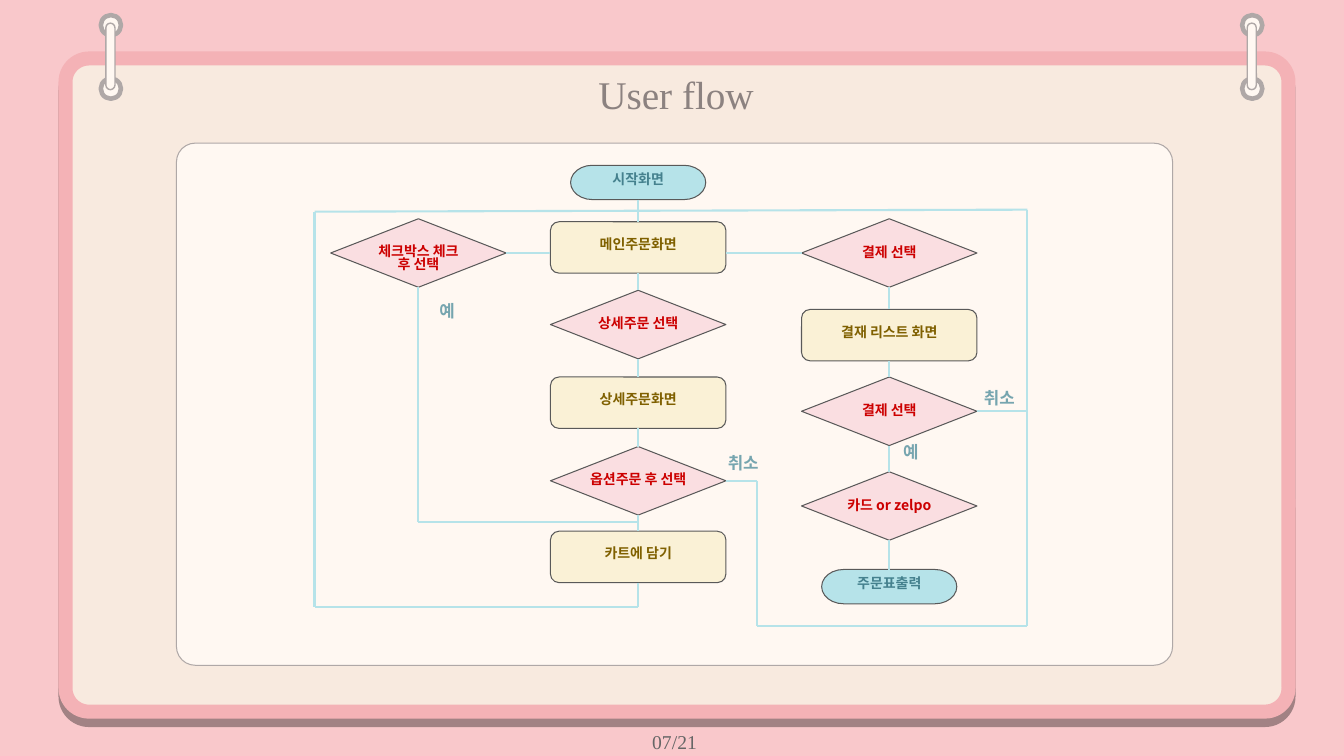
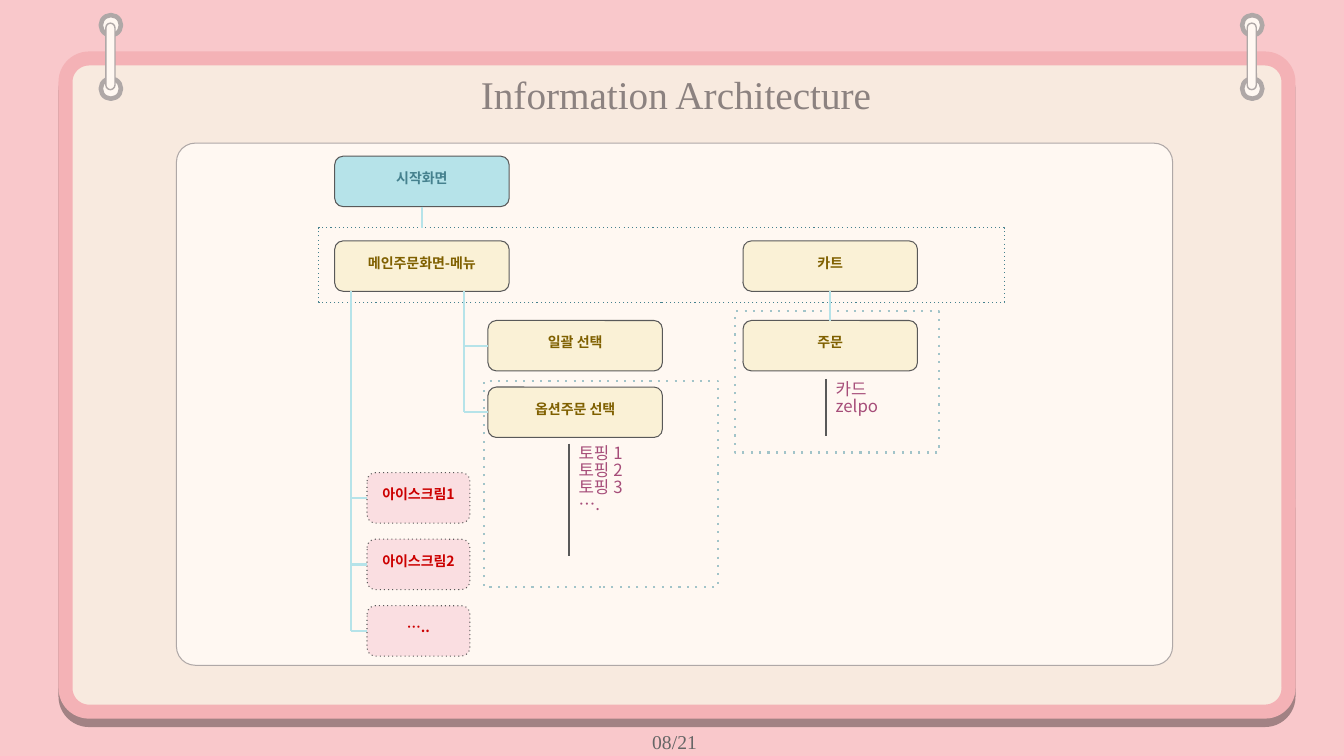
import pptx
import pptx.dml.color
import pptx.enum.shapes
import pptx.enum.text
import pptx.enum.dml
import pptx.oxml
import pptx.oxml.ns
import pptx.util

SHAPE = pptx.enum.shapes.MSO_SHAPE
ALIGN = pptx.enum.text.PP_ALIGN
ANCHOR = pptx.enum.text.MSO_ANCHOR
qn = pptx.oxml.ns.qn
NS = pptx.oxml.ns.nsdecls("a")

# Shared look: 100 px to the inch
EMU_PER_PX = 9144
SLIDE_W, SLIDE_H = 1333, 750
SERIF, SANS = "Times New Roman", "Noto Sans CJK KR"
PINK, ROSE, SAND, CREAM, RING = "F9C8CB", "F4B2B6", "F8EADF", "FFF8F2", "AFA8A7"
TITLE, PAGE, INK, FLOW = "8C8280", "666666", "595959", "B6E3E9"
LABEL, ITEM, FRAME, PALE_FRAME = "76A5AF", "A64D79", "45818E", "A2C4C9"
TOP, LEFT, BOTTOM, RIGHT = range(4)  # connection sites

# Node kinds: preset shape, fill, text colour
START = (SHAPE.FLOWCHART_TERMINATOR, FLOW, "45818E")
HOME = (SHAPE.ROUNDED_RECTANGLE, FLOW, "45818E")
SCREEN = (SHAPE.ROUNDED_RECTANGLE, "FAF1D6", "7F6000")
CHOICE = (SHAPE.DIAMOND, "FADEE1", "CC0000")
OPTION = (SHAPE.ROUNDED_RECTANGLE, "FADEE1", "CC0000")


def px(*values):
    return [pptx.util.Emu(round(v * EMU_PER_PX)) for v in values]


def rgb(color):
    return pptx.dml.color.RGBColor.from_string(color)


def write(tf, text, size=10, color=INK, font=SANS, bold=False, align=ALIGN.LEFT,
          anchor=ANCHOR.TOP, spacing=1.0, inset=(10, 10, 10, 10), wrap=True):
    tf.auto_size = pptx.enum.text.MSO_AUTO_SIZE.NONE
    tf.word_wrap, tf.vertical_anchor = wrap, anchor
    tf.margin_left, tf.margin_top, tf.margin_right, tf.margin_bottom = px(*inset)
    for i, line in enumerate(text.split("\n")):
        p = tf.paragraphs[0] if i == 0 else tf.add_paragraph()
        p.alignment, p.line_spacing = align, spacing
        r = p.add_run()
        r.text = line
        r.font.size, r.font.bold, r.font.name = pptx.util.Pt(size), bold, font
        r.font.color.rgb = rgb(color)
        east = pptx.oxml.parse_xml(f'<a:ea {NS} typeface="{font}"/>')
        r.font._element.find(qn("a:latin")).addnext(east)


def add_shape(s, kind, box, fill=None, line=INK, width=0.75, adj=None, dotted=False):
    sp = s.shapes.add_shape(kind, *px(*box))
    sp.shadow.inherit = False
    if fill:
        sp.fill.solid()
        sp.fill.fore_color.rgb = rgb(fill)
    else:
        sp.fill.background()
    sp.line.color.rgb, sp.line.width = rgb(line), pptx.util.Pt(width)
    if dotted:
        sp.line.dash_style = pptx.enum.dml.MSO_LINE.ROUND_DOT
        sp._element.find(".//" + qn("a:prstDash")).set("val", "dot")
    if adj is not None:
        sp.adjustments[0] = adj
    return sp


def add_text(s, box, text, **style):
    write(s.shapes.add_textbox(*px(*box)).text_frame, text, **style)


def add_node(s, kind, box, text, dotted=False, drop=0):
    """A flow node; drop lowers its text by that many px."""
    preset, fill, color = kind
    sp = add_shape(s, preset, box, fill, dotted=dotted)
    lift = 0 if preset == SHAPE.DIAMOND else 4
    write(sp.text_frame, text, color=color, bold=True, align=ALIGN.CENTER, wrap=False,
          anchor=ANCHOR.MIDDLE, spacing=0.8, inset=(0, 2 * drop, 0, lift))
    return sp


def add_line(s, *stops, color=FLOW):
    """Straight connectors through stops: (x, y) points or (shape, site) joints."""
    for a, b in zip(stops, stops[1:]):
        ends = [(0, 0) if hasattr(e[0], "shape_id") else e for e in (a, b)]
        c = s.shapes.add_connector(pptx.enum.shapes.MSO_CONNECTOR.STRAIGHT,
                                   *px(*ends[0], *ends[1]))
        if hasattr(a[0], "shape_id"):
            c.begin_connect(*a)
        if hasattr(b[0], "shape_id"):
            c.end_connect(*b)
        c.line.color.rgb, c.line.width = rgb(color), pptx.util.Pt(1.5)
        c._element.spPr.append(pptx.oxml.parse_xml(f"<a:effectLst {NS}/>"))


def add_column(s, center, rows):
    """Nodes stacked on one axis, each joined to the next."""
    sizes = {START: (134, 34), SCREEN: (174, 51), CHOICE: (174, 68)}
    nodes = []
    for kind, y, text in rows:
        w, h = sizes[kind]
        nodes.append(add_node(s, kind, (center - w / 2, y, w, h), text))
    for above, below in zip(nodes, nodes[1:]):
        add_line(s, (above, BOTTOM), (below, TOP))
    return nodes


def add_branches(s, x, y, nodes):
    """A trunk down from (x, y) with a branch to each node."""
    middles = [(n.top + n.height / 2) / EMU_PER_PX for n in nodes]
    add_line(s, (x, y), (x, middles[-1]))
    for node, middle in zip(nodes, middles):
        add_line(s, (x, middle), (node, LEFT))


def add_board(prs, title, page):
    """A slide with the hanging board, its title and its page number."""
    s = prs.slides.add_slide(prs.slide_layouts[5])
    board = add_shape(s, SHAPE.ROUNDED_RECTANGLE, (65, 58, 1213, 648), SAND, ROSE, 10, 0.036)
    effects = board._element.spPr.find(qn("a:effectLst"))
    effects.append(pptx.oxml.parse_xml(
        f'<a:outerShdw {NS} dist="76200" dir="5400000" algn="bl" rotWithShape="0">'
        '<a:srgbClr val="000000"><a:alpha val="34000"/></a:srgbClr></a:outerShdw>'))
    heading = s.shapes.title
    heading.left, heading.top, heading.width, heading.height = px(76, 65, 1189, 97)
    write(heading.text_frame, title, size=28, color=TITLE, font=SERIF,
          align=ALIGN.CENTER, inset=(5, 5, 5, 5))
    board._element.addnext(heading._element)
    add_shape(s, SHAPE.ROUNDED_RECTANGLE, (175, 142, 988, 518), CREAM, RING, adj=0.036)
    # Hanging rings
    for x in (100, 1232):
        for y in (78, 15):
            add_shape(s, SHAPE.OVAL, (x, y, 20, 20), CREAM, RING, 3.25)
        add_shape(s, SHAPE.ROUNDED_RECTANGLE, (x + 5, 23, 9, 66), CREAM, RING, 1, 0.5)
    add_text(s, (637, 714, 68, 41), page, size=14, color=PAGE, font=SERIF)
    return s


def build_user_flow(prs):
    s = add_board(prs, "User flow", "07/21")
    # Ordering and payment columns
    _, main_screen, _, _, options, cart = add_column(s, 633, [
        (START, 164, "시작화면"), (SCREEN, 220, "메인주문화면"),
        (CHOICE, 288, "상세주문 선택"), (SCREEN, 374, "상세주문화면"),
        (CHOICE, 443, "옵션주문 후 선택"), (SCREEN, 527, "카트에 담기")])
    pay, _, confirm, _, _ = add_column(s, 882, [
        (CHOICE, 217, "결제 선택"), (SCREEN, 307, "결재 리스트 화면"),
        (CHOICE, 374, "결제 선택"), (CHOICE, 468, "카드 or zelpo"),
        (START, 565, "주문표출력")])
    check = add_node(s, CHOICE, (328, 217, 174, 68), "체크박스 체크\n후 선택", drop=6)
    # Side steps and return loops
    add_line(s, (check, RIGHT), (546, 251))
    add_line(s, (720, 251), (pay, LEFT))
    add_line(s, (check, BOTTOM), (415, 518), (633, 518))
    add_line(s, (cart, BOTTOM), (633, 602), (312, 602), (312, 210), (1019, 208))
    add_line(s, (options, RIGHT), (751, 477), (751, 621), (1019, 621), (1019, 208))
    add_line(s, (confirm, RIGHT), (1019, 408))
    for x, y, text in [(966, 378, "취소"), (712, 443, "취소"), (426, 292, "예"), (886, 432, "예")]:
        add_text(s, (x, y, 59, 41), text, size=12, color=LABEL, bold=True, spacing=0.83)


def build_architecture(prs):
    s = add_board(prs, "Information Architecture", "08/21")
    # Dotted groups
    add_shape(s, SHAPE.RECTANGLE, (316, 226, 680, 74), line=FRAME, dotted=True)
    for box in [(480, 378, 232, 204), (729, 309, 202, 140)]:
        add_shape(s, SHAPE.RECTANGLE, box, line=PALE_FRAME, width=1.5, dotted=True)
    # Screens
    home, _, batch, options, cart, order = [
        add_node(s, kind, (x, y, 173, 50), text) for kind, x, y, text in [
            (HOME, 332, 155, "시작화면"), (SCREEN, 332, 239, "메인주문화면-메뉴"),
            (SCREEN, 484, 318, "일괄 선택"), (SCREEN, 484, 384, "옵션주문 선택"),
            (SCREEN, 737, 239, "카트"), (SCREEN, 737, 318, "주문")]]
    flavours = [add_node(s, OPTION, (364, 469 + 66 * i, 102, 50), text, dotted=True)
                for i, text in enumerate(["아이스크림1", "아이스크림2", "….."])]
    # Links
    add_line(s, (home, BOTTOM), (418.5, 226))
    add_line(s, (cart, BOTTOM), (order, TOP))
    add_branches(s, 348, 289, flavours)
    add_branches(s, 460, 289, [batch, options])
    # Item lists beside a rule
    for x, y, rule, text in [(564, 433, 112, "토핑 1\n토핑 2\n토핑 3\n…."),
                             (819, 369, 57, "카드\nzelpo")]:
        add_text(s, (x, y, 167, rule), text, size=12, color=ITEM, spacing=0.83)
        add_line(s, (x, y + 7), (x, y + 7 + rule), color=INK)


def main():
    prs = pptx.Presentation()
    prs.slide_width, prs.slide_height = px(SLIDE_W, SLIDE_H)
    fill = prs.slide_master.background.fill
    fill.solid()
    fill.fore_color.rgb = rgb(PINK)
    build_user_flow(prs)
    build_architecture(prs)
    prs.save("out.pptx")


if __name__ == "__main__":
    main()
